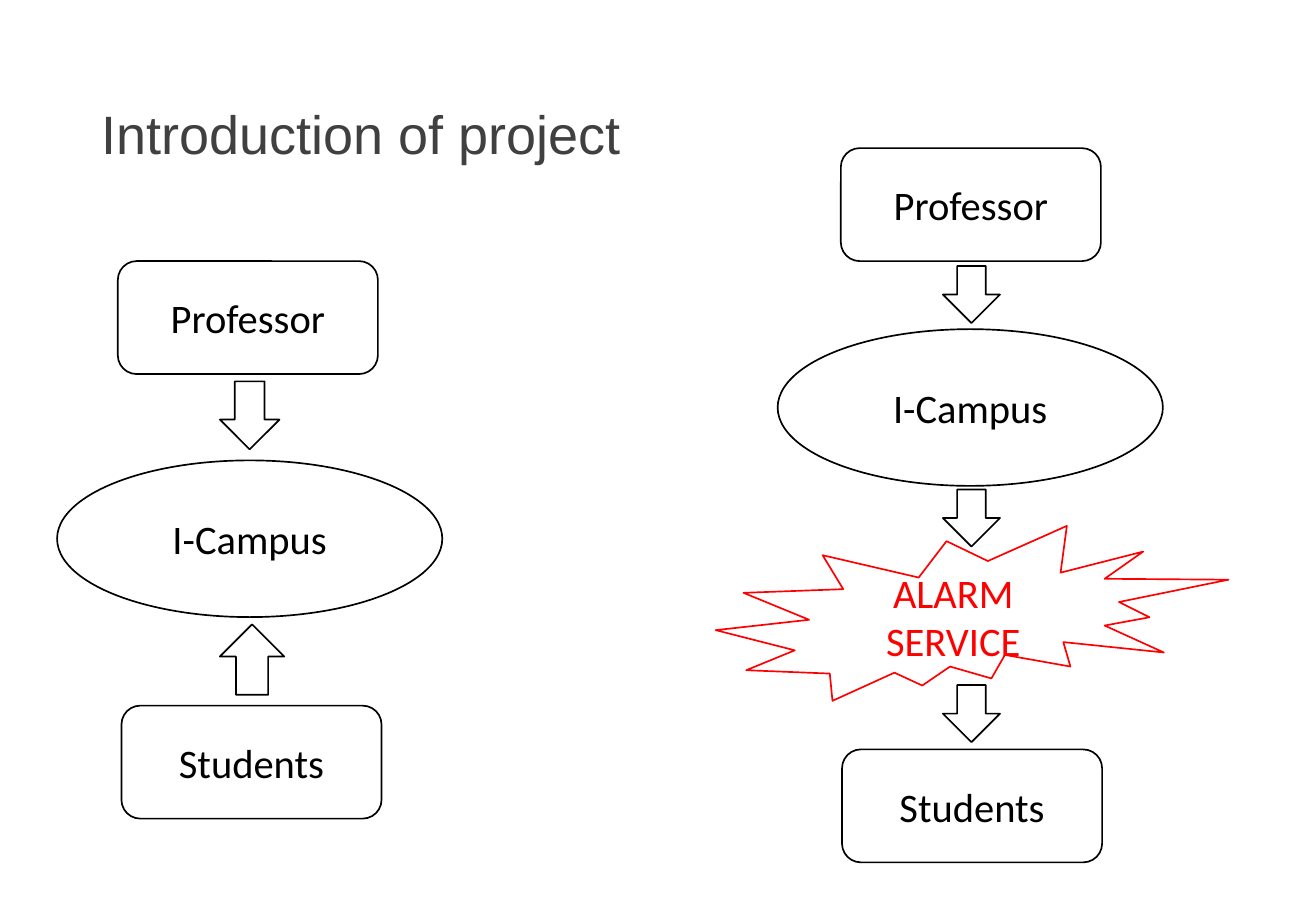
from pptx import Presentation
from pptx.dml.color import RGBColor
from pptx.enum import shapes, text
from pptx.util import Inches, Pt

BLACK = RGBColor(0x00, 0x00, 0x00)
RED = RGBColor(0xFF, 0x00, 0x00)
GREY = RGBColor(0x40, 0x40, 0x40)
KINDS = shapes.MSO_SHAPE
ROLE_SIZE = (2.14, 0.93)
CAMPUS_SIZE = (3.17, 1.29)
ALARM_SIZE = (4.22, 1.44)


def add_run(paragraph, words, font_name, size, color):
    """Add one formatted run to a paragraph."""
    run = paragraph.add_run()
    run.text = words
    run.font.name = font_name
    run.font.size = Pt(size)
    run.font.color.rgb = color


def add_title(slide, words):
    """Add the slide heading."""
    box = slide.shapes.add_textbox(Inches(0.74), Inches(0.4), Inches(9.34), Inches(1.45))
    frame = box.text_frame
    frame.word_wrap = True
    frame.vertical_anchor = text.MSO_ANCHOR.MIDDLE
    paragraph = frame.paragraphs[0]
    paragraph.line_spacing = 0.9
    add_run(paragraph, words, "Arial", 32, GREY)


def add_outline(slide, kind, left, top, size, color=BLACK):
    """Add an unfilled shape with a thin outline."""
    width, height = size
    shape = slide.shapes.add_shape(
        kind, Inches(left), Inches(top), Inches(width), Inches(height))
    shape.shadow.inherit = False
    shape.fill.background()
    shape.line.color.rgb = color
    shape.line.width = Pt(1)
    return shape


def add_node(slide, kind, left, top, size, label, color=BLACK):
    """Add an outlined shape with a centred label."""
    shape = add_outline(slide, kind, left, top, size, color)
    frame = shape.text_frame
    frame.word_wrap = True
    frame.vertical_anchor = text.MSO_ANCHOR.MIDDLE
    paragraph = frame.paragraphs[0]
    paragraph.alignment = text.PP_ALIGN.CENTER
    add_run(paragraph, label, "Calibri", 24, color)


def add_current_flow(slide):
    """Draw professor and students both reaching the campus."""
    add_node(slide, KINDS.ROUNDED_RECTANGLE, 0.97, 2.15, ROLE_SIZE, "Professor")
    add_node(slide, KINDS.ROUNDED_RECTANGLE, 1, 5.81, ROLE_SIZE, "Students")
    add_node(slide, KINDS.OVAL, 0.47, 3.79, CAMPUS_SIZE, "I-Campus")
    add_outline(slide, KINDS.DOWN_ARROW, 1.81, 3.14, (0.49, 0.56))
    add_outline(slide, KINDS.UP_ARROW, 1.81, 5.14, (0.53, 0.58))


def add_alarm_flow(slide):
    """Draw the campus reaching students through the alarm service."""
    add_node(slide, KINDS.ROUNDED_RECTANGLE, 6.92, 1.22, ROLE_SIZE, "Professor")
    add_node(slide, KINDS.ROUNDED_RECTANGLE, 6.93, 6.17, ROLE_SIZE, "Students")
    add_node(slide, KINDS.OVAL, 6.4, 2.71, CAMPUS_SIZE, "I-Campus")
    add_node(slide, KINDS.EXPLOSION2, 5.89, 4.33, ALARM_SIZE, "ALARM SERVICE", RED)
    for top in (2.19, 4.03, 5.64):
        add_outline(slide, KINDS.DOWN_ARROW, 7.76, top, (0.47, 0.47))


def main():
    """Build the slide and save it."""
    presentation = Presentation()
    presentation.slide_width = Inches(10.83)
    presentation.slide_height = Inches(7.5)
    slide = presentation.slides.add_slide(presentation.slide_layouts[6])
    add_title(slide, "Introduction of project")
    add_current_flow(slide)
    add_alarm_flow(slide)
    presentation.save("out.pptx")


if __name__ == "__main__":
    main()
